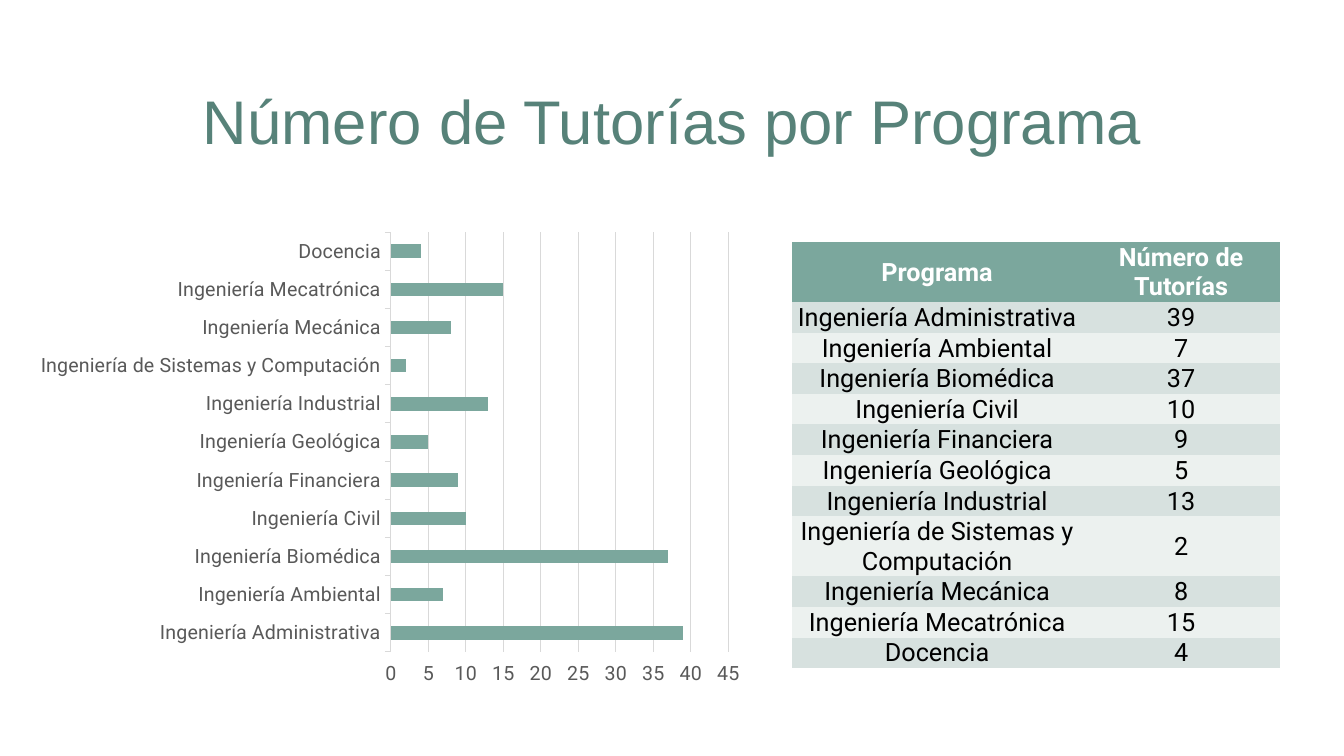
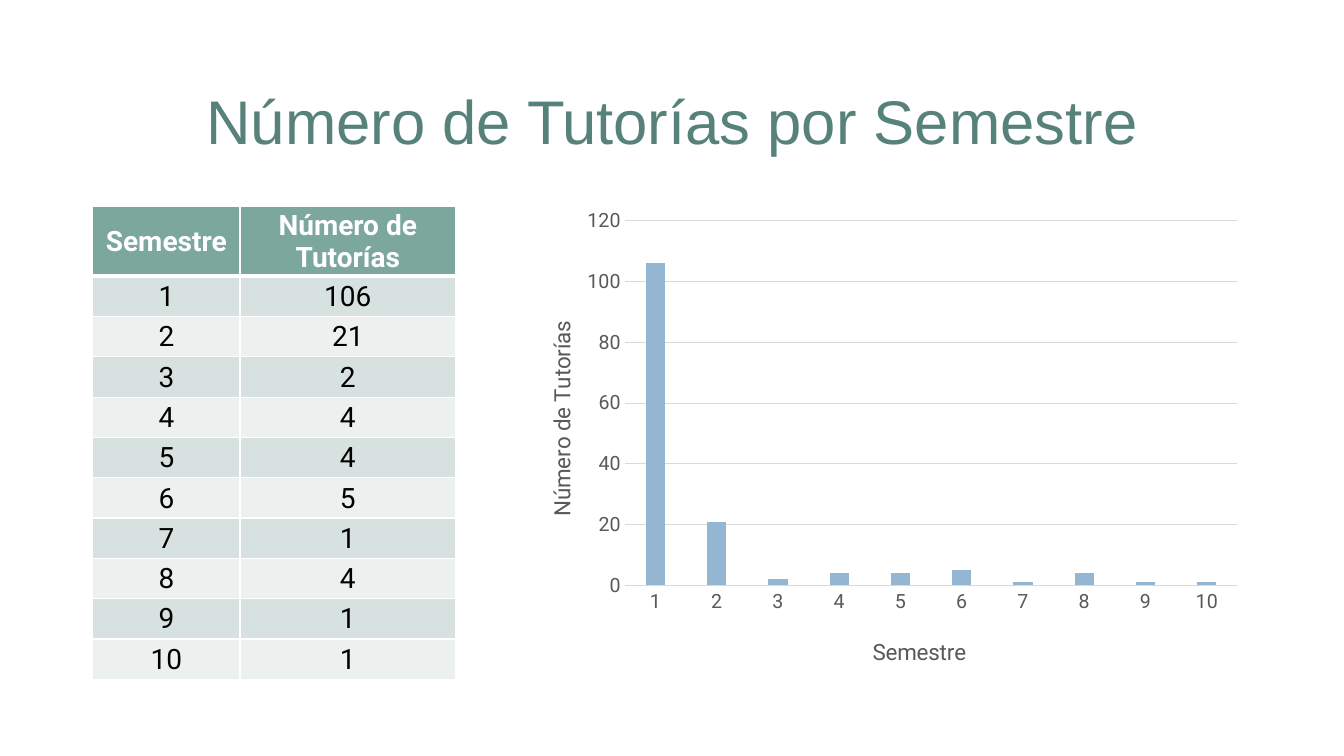
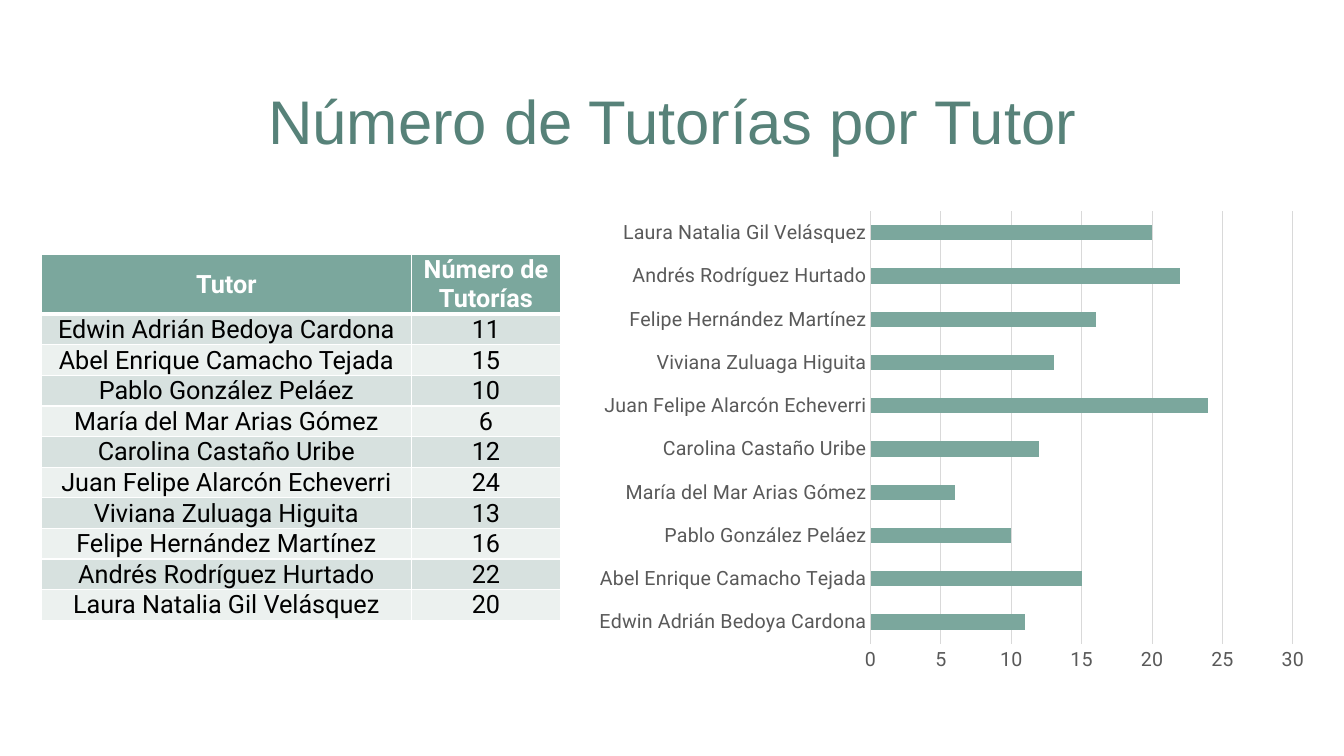
import dataclasses

import lxml.etree
import pptx
import pptx.chart.data
import pptx.dml.color
import pptx.enum.chart
import pptx.enum.text
import pptx.oxml.ns
import pptx.util

PX = 9144  # EMU per px, 100 px to the inch
qn = pptx.oxml.ns.qn
NO_STYLE = "{2D5ABB26-0587-4C30-8999-92F81FD0307C}"
COUNT_LABEL = "Número de Tutorías"


@dataclasses.dataclass(frozen=True)
class Theme:
    title_color: str = "578279"
    green: str = "7BA79D"
    blue: str = "94B6D2"
    bands: tuple = ("D7E1DF", "ECF1EF")
    white: str = "FFFFFF"
    black: str = "000000"
    label: str = "595959"
    rule: str = "D9D9D9"
    title_font: str = "Arial"
    body_font: str = "Roboto"
    title_size: int = 44
    axis_title_size: int = 16
    tick_size: int = 14
    title_box: tuple = (92, 62, 1150, 123)


THEME = Theme()

# Content
PROGRAMS = [
    ("Ingeniería Administrativa", 39),
    ("Ingeniería Ambiental", 7),
    ("Ingeniería Biomédica", 37),
    ("Ingeniería Civil", 10),
    ("Ingeniería Financiera", 9),
    ("Ingeniería Geológica", 5),
    ("Ingeniería Industrial", 13),
    ("Ingeniería de Sistemas y Computación", 2),
    ("Ingeniería Mecánica", 8),
    ("Ingeniería Mecatrónica", 15),
    ("Docencia", 4),
]
SEMESTERS = [(str(number), count) for number, count in
             enumerate((106, 21, 2, 4, 4, 5, 1, 4, 1, 1), start=1)]
TUTORS = [
    ("Edwin Adrián Bedoya Cardona", 11),
    ("Abel Enrique Camacho Tejada", 15),
    ("Pablo González Peláez", 10),
    ("María del Mar Arias Gómez", 6),
    ("Carolina Castaño Uribe", 12),
    ("Juan Felipe Alarcón Echeverri", 24),
    ("Viviana Zuluaga Higuita", 13),
    ("Felipe Hernández Martínez", 16),
    ("Andrés Rodríguez Hurtado", 22),
    ("Laura Natalia Gil Velásquez", 20),
]


# Shared helpers
def px(*lengths):
    return [pptx.util.Emu(length * PX) for length in lengths]


def rgb(color):
    return pptx.dml.color.RGBColor.from_string(color)


def style_font(font, name, size, color, bold=False):
    font.name = name
    font.size = pptx.util.Pt(size)
    font.color.rgb = rgb(color)
    font.bold = bold


def add_titled_slide(presentation, title):
    slide = presentation.slides.add_slide(presentation.slide_layouts[5])
    shape = slide.shapes.title
    shape.left, shape.top, shape.width, shape.height = px(*THEME.title_box)
    text_frame = shape.text_frame
    text_frame.text = title
    text_frame.vertical_anchor = pptx.enum.text.MSO_ANCHOR.MIDDLE
    paragraph = text_frame.paragraphs[0]
    paragraph.alignment = pptx.enum.text.PP_ALIGN.CENTER
    paragraph.line_spacing = 0.9
    style_font(paragraph.runs[0].font, THEME.title_font, THEME.title_size, THEME.title_color)
    return slide


# Tables
def add_cell_borders(cell, top, bottom):
    properties = cell._tc.get_or_add_tcPr()
    for side, width in (("L", 1), ("R", 1), ("T", top), ("B", bottom)):
        line = lxml.etree.SubElement(properties, qn(f"a:ln{side}"), w=str(pptx.util.Pt(width)))
        fill = lxml.etree.SubElement(line, qn("a:solidFill"))
        lxml.etree.SubElement(fill, qn("a:srgbClr"), val=THEME.white)


def fill_cell(cell, text, size, color, fill, bold):
    cell.margin_left, cell.margin_top, cell.margin_right, cell.margin_bottom = px(1, 1, 1, 0)
    cell.vertical_anchor = pptx.enum.text.MSO_ANCHOR.MIDDLE
    cell.fill.solid()
    cell.fill.fore_color.rgb = rgb(fill)
    cell.text_frame.text = text
    paragraph = cell.text_frame.paragraphs[0]
    paragraph.alignment = pptx.enum.text.PP_ALIGN.CENTER
    style_font(paragraph.runs[0].font, THEME.body_font, size, color, bold)


def add_count_table(slide, heading, records, left, top, column_widths,
                    header_height=58, row_height=30, size=18, bordered=True):
    rows = [(heading, COUNT_LABEL), *records]
    heights = [header_height] + [row_height] * len(records)
    frame = slide.shapes.add_table(len(rows), len(column_widths),
                                   *px(left, top, sum(column_widths), sum(heights)))
    table = frame.table
    table._tbl.tblPr.find(qn("a:tableStyleId")).text = NO_STYLE
    for column, width in zip(table.columns, px(*column_widths)):
        column.width = width
    for index, (record, height) in enumerate(zip(rows, px(*heights))):
        table.rows[index].height = height
        is_header = index == 0
        color = THEME.white if is_header else THEME.black
        fill = THEME.green if is_header else THEME.bands[(index - 1) % 2]
        for cell, value in zip(table.rows[index].cells, record):
            if bordered:
                add_cell_borders(cell, 3 if index == 1 else 1, 3 if is_header else 1)
            fill_cell(cell, str(value), size, color, fill, is_header)


# Charts
def set_layout(parent, position, **fractions):
    """Place a chart part by fractions of the chart area."""
    for old in parent.findall(qn("c:layout")):
        parent.remove(old)
    layout = lxml.etree.SubElement(parent, qn("c:layout"))
    parent.insert(position, layout)
    manual = lxml.etree.SubElement(layout, qn("c:manualLayout"))
    if "w" in fractions:
        lxml.etree.SubElement(manual, qn("c:layoutTarget"), val="inner")
    for mode in ("xMode", "yMode"):
        lxml.etree.SubElement(manual, qn(f"c:{mode}"), val="edge")
    for name, fraction in fractions.items():
        lxml.etree.SubElement(manual, qn(f"c:{name}"), val=str(fraction))


def set_axis_title(axis, text, x, y):
    axis.has_title = True
    text_frame = axis.axis_title.text_frame
    text_frame.text = text
    style_font(text_frame.paragraphs[0].runs[0].font, THEME.body_font,
               THEME.axis_title_size, THEME.label)
    set_layout(axis.axis_title._element, 1, x=x, y=y)


def add_count_chart(slide, records, box, maximum, step, kind="BAR_CLUSTERED",
                    color=THEME.green, gap=182, overlap=0, tick="NONE"):
    data = pptx.chart.data.CategoryChartData()
    data.categories = [name for name, _ in records]
    data.add_series(COUNT_LABEL, [count for _, count in records])
    chart = slide.shapes.add_chart(pptx.enum.chart.XL_CHART_TYPE[kind], *px(*box), data).chart
    chart.has_title = False
    chart.has_legend = False
    style_font(chart.font, THEME.body_font, THEME.tick_size, THEME.label)

    plot = chart.plots[0]
    plot.gap_width = gap
    plot.overlap = overlap
    plot.vary_by_categories = False
    series_fill = plot.series[0].format.fill
    series_fill.solid()
    series_fill.fore_color.rgb = rgb(color)

    value_axis, category_axis = chart.value_axis, chart.category_axis
    value_axis.minimum_scale = 0
    value_axis.maximum_scale = maximum
    value_axis.major_unit = step
    value_axis.has_major_gridlines = True
    value_axis.format.line.fill.background()
    for line in (value_axis.major_gridlines.format.line, category_axis.format.line):
        line.color.rgb = rgb(THEME.rule)
        line.width = pptx.util.Pt(0.75)
    for axis in (value_axis, category_axis):
        axis.major_tick_mark = pptx.enum.chart.XL_TICK_MARK[tick]
        axis.minor_tick_mark = pptx.enum.chart.XL_TICK_MARK.NONE
    return chart


# Slides
def add_program_slide(presentation):
    slide = add_titled_slide(presentation, "Número de Tutorías por Programa")
    add_count_table(slide, "Programa", PROGRAMS, 786, 240, (287, 197), bordered=False)
    add_count_chart(slide, PROGRAMS, (26, 221, 722, 469), 45, 5, tick="OUTSIDE")


def add_semester_slide(presentation):
    slide = add_titled_slide(presentation, "Número de Tutorías por Semestre")
    add_count_table(slide, "Semestre", SEMESTERS, 92, 205, (146, 214),
                    header_height=69, row_height=40, size=20)
    chart = add_count_chart(slide, SEMESTERS, (510, 200, 732, 476), 120, 20,
                            "COLUMN_CLUSTERED", THEME.blue, gap=219, overlap=-27)
    set_layout(chart._chartSpace.chart.plotArea, 0, x=0.15, y=0.04, w=0.83, h=0.76)
    set_axis_title(chart.category_axis, "Semestre", 0.48, 0.9)
    set_axis_title(chart.value_axis, COUNT_LABEL, 0.04, 0.24)


def add_tutor_slide(presentation):
    slide = add_titled_slide(presentation, "Número de Tutorías por Tutor")
    add_count_table(slide, "Tutor", TUTORS, 41, 252, (367, 148))
    add_count_chart(slide, TUTORS, (580, 200, 728, 476), 30, 5)


def main():
    presentation = pptx.Presentation()
    presentation.slide_width, presentation.slide_height = px(1333, 750)
    add_program_slide(presentation)
    add_semester_slide(presentation)
    add_tutor_slide(presentation)
    presentation.save("out.pptx")


if __name__ == "__main__":
    main()
